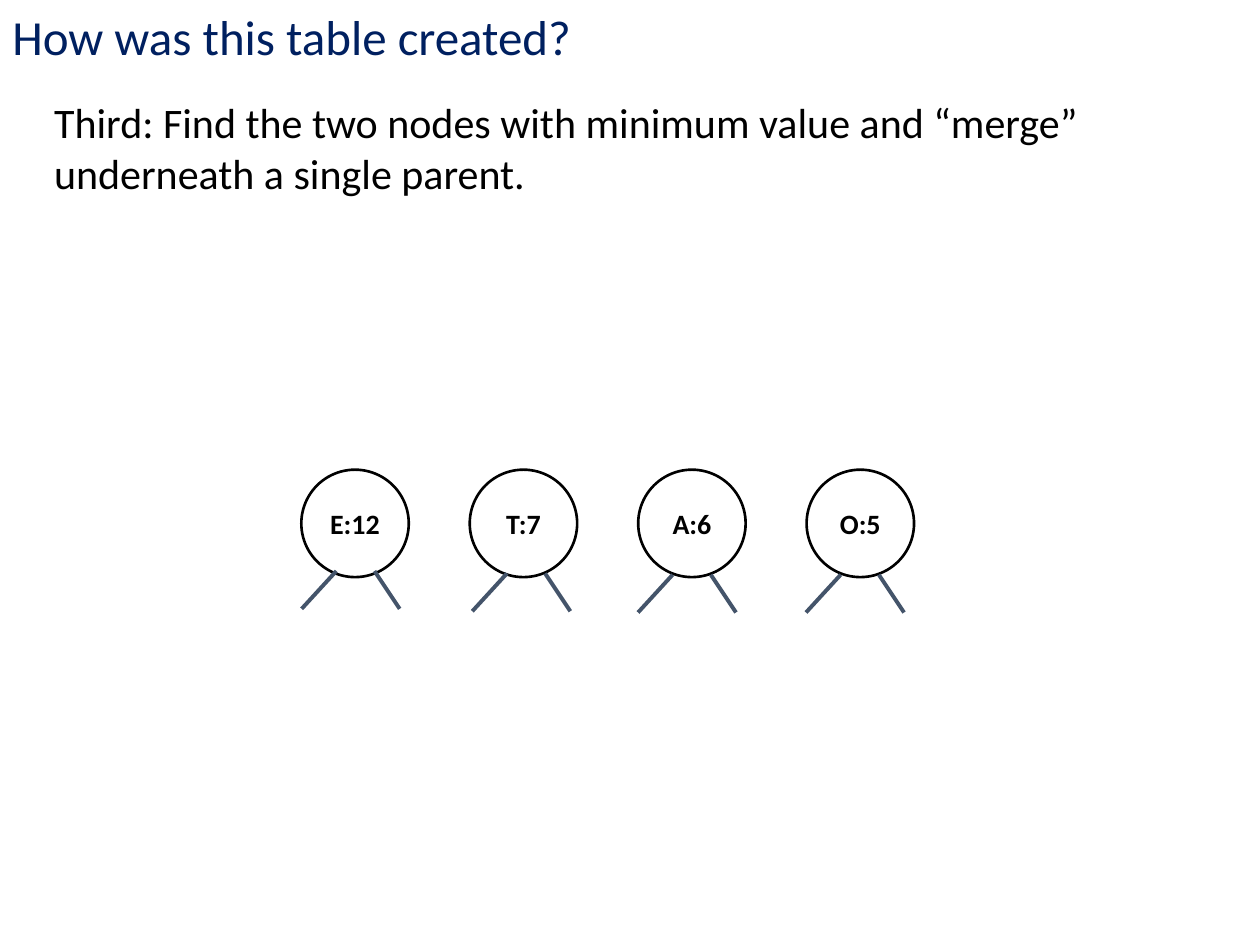
from dataclasses import dataclass
from lxml import etree
from pptx import Presentation
from pptx.dml.color import RGBColor
from pptx.enum.shapes import MSO_CONNECTOR, MSO_SHAPE
from pptx.enum.text import MSO_ANCHOR, PP_ALIGN
from pptx.oxml.ns import qn
from pptx.util import Pt

OVAL = MSO_SHAPE.OVAL
LINE = MSO_CONNECTOR.STRAIGHT
MIDDLE = MSO_ANCHOR.MIDDLE
CENTER = PP_ALIGN.CENTER


@dataclass(frozen=True)
class Theme:
    face: str = "Calibri"
    navy: RGBColor = RGBColor(0x00, 0x20, 0x60)
    black: RGBColor = RGBColor(0, 0, 0)
    white: RGBColor = RGBColor(255, 255, 255)
    slate: RGBColor = RGBColor(0x44, 0x54, 0x6A)
    title: int = 28
    body: int = 24
    label: int = 16
    rim: float = 1.5
    stub: float = 2.25


def assign(target, values):
    for name, value in values.items():
        setattr(target, name, value)


class Board:
    def __init__(self, slide, theme):
        self.slide = slide
        self.theme = theme

    def letter(self, frame, text, size, color, bold=False):
        para = frame.paragraphs[0]
        run = para.add_run()
        run.text = text
        assign(run.font, {"name": self.theme.face, "size": Pt(size), "bold": bold})
        run.font.color.rgb = color
        return para

    def text(self, box, text, size, color):
        frame = self.slide.shapes.add_textbox(*map(Pt, box)).text_frame
        frame.word_wrap = True
        self.letter(frame, text, size, color)

    def line(self, group, start, end):
        line = group.shapes.add_connector(LINE, *map(Pt, start + end))
        line.line.color.rgb = self.theme.slate
        line.line.width = Pt(self.theme.stub)
        etree.SubElement(line._element.spPr, qn("a:effectLst"))

    def circle(self, group, left, top, size, text):
        theme = self.theme
        shape = group.shapes.add_shape(OVAL, *map(Pt, (left, top, size, size)))
        shape.shadow.inherit = False
        shape.fill.solid()
        shape.fill.fore_color.rgb = theme.white
        shape.line.color.rgb = theme.black
        shape.line.width = Pt(theme.rim)
        frame = shape.text_frame
        assign(frame, {"word_wrap": False, "vertical_anchor": MIDDLE})
        para = self.letter(frame, text, theme.label, theme.black, True)
        para.alignment = CENTER

    def node(self, left, top, size, text, fork):
        group = self.slide.shapes.add_group_shape()
        self.circle(group, left, top, size, text)
        x, y = fork
        self.line(group, (x, y), (x - 19.8, y + 21.6))
        self.line(group, (x + 21.8, y), (x + 36.2, y + 21.6))


def main():
    deck = Presentation()
    assign(deck, {"slide_width": Pt(720), "slide_height": Pt(540)})
    theme = Theme()
    board = Board(deck.slides.add_slide(deck.slide_layouts[6]), theme)
    board.text((0, 0, 640.8, 41), "How was this table created?", theme.title, theme.navy)
    board.text(
        (23.8, 51.8, 646.6, 65.5),
        "Third: Find the two nodes with minimum value and “merge” underneath a single parent.",
        theme.body,
        theme.black,
    )
    left, top, size, step = 172.2, 268.4, 61.4, 96.25
    nodes = [
        ("E:12", (192.2, 326.3)),
        ("T:7", (289.7, 327.7)),
        ("A:6", (384.4, 328.4)),
        ("O:5", (480.4, 328.4)),
    ]
    for i, (text, fork) in enumerate(nodes):
        board.node(left + i * step, top, size, text, fork)
    deck.save("out.pptx")


if __name__ == "__main__":
    main()
